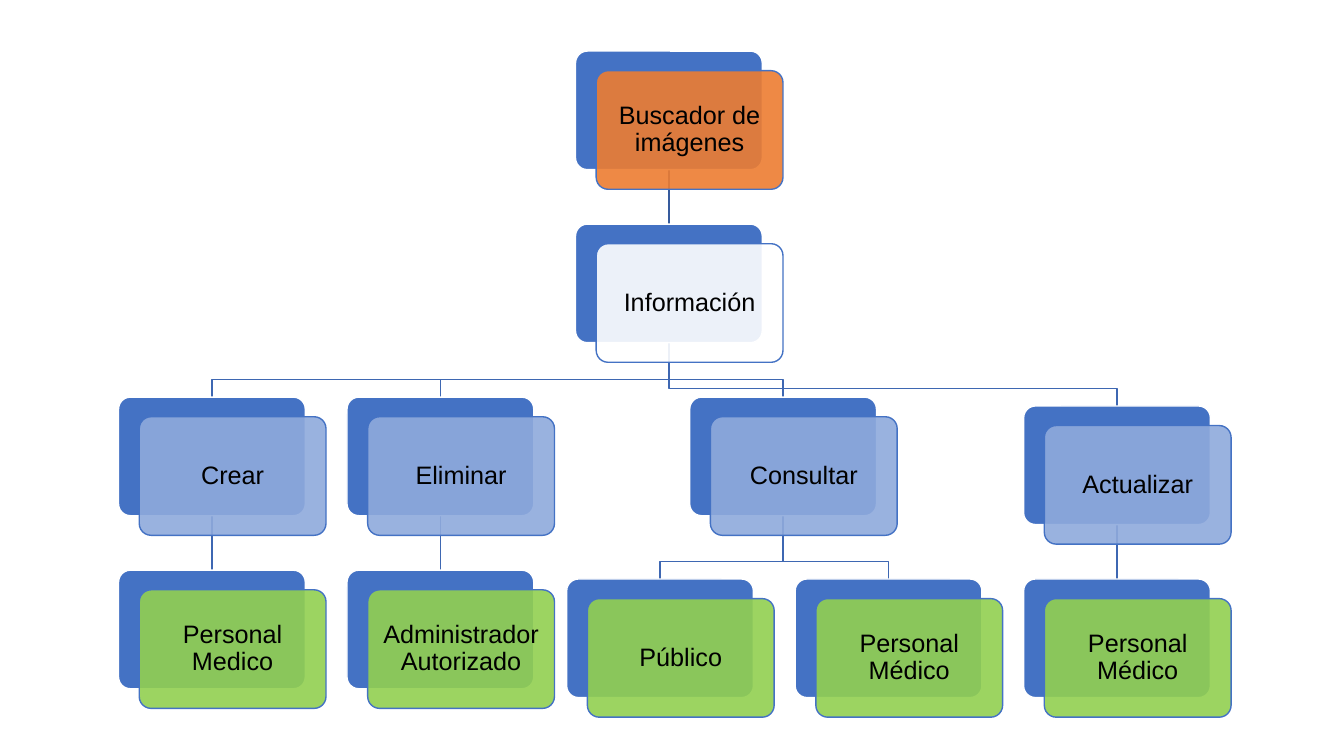
from dataclasses import dataclass
from typing import Optional

from pptx import Presentation
from pptx.dml.color import RGBColor
from pptx.enum.shapes import MSO_CONNECTOR, MSO_SHAPE
from pptx.enum.text import MSO_ANCHOR, PP_ALIGN
from pptx.oxml.ns import qn
from pptx.util import Pt
from lxml import etree

ROOT_LEFT, ROOT_TOP = 411.1, 36.5
COLUMN_PITCH, ROW_PITCH = 163.2, 123.6
CARD_W, CARD_H = 133.4, 84.7
FRONT_DX, FRONT_DY = 14.8, 14.0
NUDGE = 6.3  # moved cards sit this far left and down of the grid
BEND = 12.5  # height of an elbow above the child card

BLUE, WHITE, BLACK = "4472C4", "FFFFFF", "000000"
ORANGE, LIGHT_BLUE, GREEN = "ED7D31", "8FAADC", "92D050"
ROOT_LINK, LINK = "365B9D", "3E67B2"


@dataclass(frozen=True)
class Node:
    """A card of the hierarchy, placed by grid column and row."""
    label: str
    column: float
    row: int
    fill: str
    parent: Optional["Node"] = None
    moved: bool = False
    link: str = LINK

    @property
    def left(self) -> float:
        """Left edge of the back card."""
        return ROOT_LEFT + self.column * COLUMN_PITCH - NUDGE * self.moved

    @property
    def top(self) -> float:
        """Top edge of the back card."""
        return ROOT_TOP + self.row * ROW_PITCH + NUDGE * self.moved

    @property
    def center(self) -> float:
        """Horizontal centre of the back card."""
        return self.left + CARD_W / 2


def rgb(value: str) -> RGBColor:
    """Turn a hex string into a colour."""
    return RGBColor.from_string(value)


def style_line(shape, color: str) -> None:
    """Give a shape or connector a one-point line."""
    shape.line.color.rgb = rgb(color)
    shape.line.width = Pt(1)


def add_card(shapes, left: float, top: float, fill: str, line: str):
    """Add one rounded card."""
    card = shapes.add_shape(MSO_SHAPE.ROUNDED_RECTANGLE, Pt(left), Pt(top),
                            Pt(CARD_W), Pt(CARD_H))
    card.adjustments[0] = 0.1
    card.shadow.inherit = False
    card.fill.solid()
    card.fill.fore_color.rgb = rgb(fill)
    style_line(card, line)
    return card


def set_opacity(shape, percent: int) -> None:
    """Make the solid fill of a shape partly transparent."""
    color = shape._element.spPr.find(qn("a:solidFill"))[0]
    etree.SubElement(color, qn("a:alpha"), val=str(percent * 1000))


def set_label(card, label: str) -> None:
    """Write centred text in a card."""
    frame = card.text_frame
    frame.word_wrap = True
    frame.vertical_anchor = MSO_ANCHOR.MIDDLE
    frame.margin_left = frame.margin_right = Pt(5.4)
    frame.margin_top = frame.margin_bottom = Pt(5.4)
    paragraph = frame.paragraphs[0]
    paragraph.alignment = PP_ALIGN.CENTER
    paragraph.line_spacing = 0.9
    paragraph.space_after = Pt(6.3)
    run = paragraph.add_run()
    run.text = label
    run.font.name = "Arial"
    run.font.size = Pt(18)
    run.font.color.rgb = rgb(BLACK)


def add_node(shapes, node: Node) -> None:
    """Draw the back card and the labelled front card of a node."""
    add_card(shapes, node.left, node.top, BLUE, WHITE)
    front = add_card(shapes, node.left + FRONT_DX, node.top + FRONT_DY, node.fill, BLUE)
    set_opacity(front, 90)
    set_label(front, node.label)


def add_link(shapes, node: Node) -> None:
    """Join a node to its parent, straight or with an elbow."""
    start_x, start_y = Pt(node.parent.center), Pt(node.parent.top + CARD_H)
    end_x, end_y = Pt(node.center), Pt(node.top)
    if start_x == end_x:
        link = shapes.add_connector(MSO_CONNECTOR.STRAIGHT, start_x, start_y, end_x, end_y)
        etree.SubElement(link._element.spPr, qn("a:effectLst"))
    else:
        bend_y = Pt(node.top - BEND)
        builder = shapes.build_freeform(start_x, start_y)
        builder.add_line_segments([(start_x, bend_y), (end_x, bend_y), (end_x, end_y)],
                                  close=False)
        link = builder.convert_to_shape()
        link.fill.background()
        link.shadow.inherit = False
    style_line(link, node.link)


def build_nodes() -> list[Node]:
    """Describe the hierarchy from top to bottom."""
    root = Node("Buscador de imágenes", 0, 0, ORANGE)
    info = Node("Información", 0, 1, WHITE, root, link=ROOT_LINK)
    create = Node("Crear", -2, 2, LIGHT_BLUE, info)
    delete = Node("Eliminar", -1, 2, LIGHT_BLUE, info)
    consult = Node("Consultar", 0.5, 2, LIGHT_BLUE, info)
    update = Node("Actualizar", 2, 2, LIGHT_BLUE, info, moved=True)
    return [
        root, info, create, delete, consult, update,
        Node("Personal Medico", -2, 3, GREEN, create),
        Node("Administrador Autorizado", -1, 3, GREEN, delete),
        Node("Público", 0, 3, GREEN, consult, moved=True),
        Node("Personal Médico", 1, 3, GREEN, consult, moved=True),
        Node("Personal Médico", 2, 3, GREEN, update, moved=True),
    ]


def main() -> None:
    """Build and save the slide."""
    deck = Presentation()
    deck.slide_width, deck.slide_height = Pt(960), Pt(540)
    shapes = deck.slides.add_slide(deck.slide_layouts[6]).shapes
    nodes = build_nodes()
    for node in nodes:
        if node.parent:
            add_link(shapes, node)
    for node in nodes:
        add_node(shapes, node)
    deck.save("out.pptx")


main()
